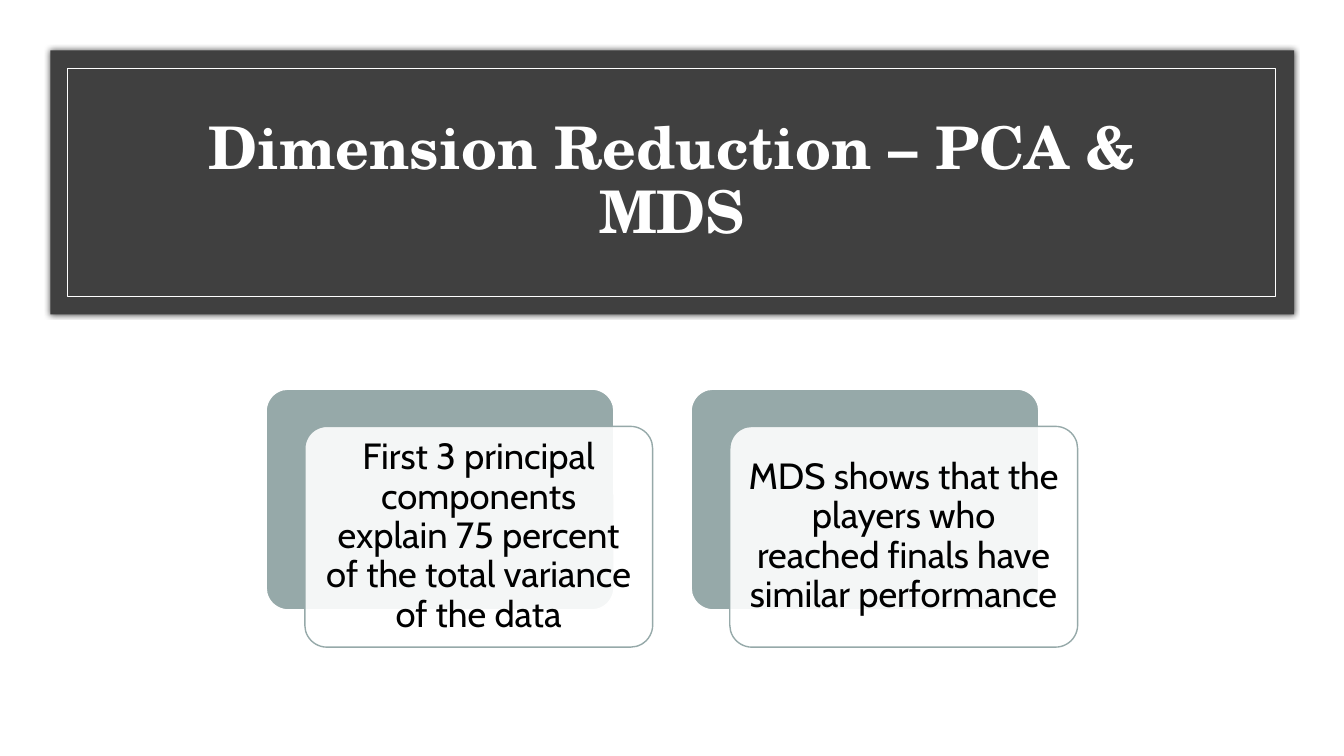
from lxml.etree import SubElement
from pptx import Presentation
from pptx.dml.color import RGBColor
from pptx.enum.shapes import MSO_SHAPE
from pptx.enum.text import MSO_ANCHOR, MSO_AUTO_SIZE, PP_ALIGN
from pptx.oxml.ns import qn
from pptx.util import Inches, Pt

WHITE = RGBColor(0xFF, 0xFF, 0xFF)
BLACK = RGBColor(0x00, 0x00, 0x00)
CHARCOAL = RGBColor(0x40, 0x40, 0x40)
SAGE = RGBColor(0x96, 0xA9, 0xA9)

TITLE = "Dimension Reduction – PCA & MDS"
FINDINGS = [
    "First 3 principal components explain 75 percent of the total variance of the data",
    "MDS shows that the players who reached finals have similar performance",
]

# Percent of the slide's width or height
CARD_LEFT, CARD_TOP, CARD_WIDTH, CARD_HEIGHT = 19.8, 51.47, 25.88, 29.2
CARD_PITCH = 31.62
FRONT_SHIFT_X, FRONT_SHIFT_Y = 2.88, 4.93


class FindingsSlide:
    heading_font = "TeX Gyre Schola"
    body_font = "Cabin"

    def __init__(self, deck):
        self.deck = deck
        self.slide = deck.slides.add_slide(deck.slide_layouts[5])

    def box(self, left, top, width, height):
        """Turn percentages of the slide into left, top, width and height."""
        across, down = self.deck.slide_width / 100, self.deck.slide_height / 100
        return (round(left * across), round(top * down),
                round(width * across), round(height * down))

    def panel(self, kind, place, fill=None, line=None, line_width=1):
        panel = self.slide.shapes.add_shape(kind, *self.box(*place))
        panel.shadow.inherit = False
        if fill is None:
            panel.fill.background()
        else:
            panel.fill.solid()
            panel.fill.fore_color.rgb = fill
        if line is None:
            panel.line.fill.background()
        else:
            panel.line.color.rgb = line
            panel.line.width = Pt(line_width)
        return panel

    def soft_shadow(self, panel):
        effects = panel.element.spPr.find(qn("a:effectLst"))
        shadow = SubElement(effects, qn("a:outerShdw"), blurRad=str(Pt(4)), dist="0")
        black = SubElement(shadow, qn("a:srgbClr"), val=str(BLACK))
        SubElement(black, qn("a:alpha"), val="66000")

    def set_text(self, shape, text, font, size, color, bold=False):
        frame = shape.text_frame
        frame.text = text
        frame.word_wrap = True
        frame.auto_size = MSO_AUTO_SIZE.NONE
        frame.vertical_anchor = MSO_ANCHOR.MIDDLE
        paragraph = frame.paragraphs[0]
        paragraph.alignment = PP_ALIGN.CENTER
        paragraph.line_spacing = 0.9
        style = paragraph.runs[0].font
        style.name, style.size, style.bold = font, Pt(size), bold
        style.color.rgb = color

    def banner(self, text):
        backdrop = self.panel(MSO_SHAPE.RECTANGLE, (3.75, 6.67, 92.55, 34.93), CHARCOAL)
        self.soft_shadow(backdrop)
        self.panel(MSO_SHAPE.RECTANGLE, (5.05, 9.07, 89.85, 30.13),
                   line=WHITE, line_width=0.5)
        title = self.slide.shapes.title
        title.left, title.top, title.width, title.height = self.box(8.75, 14.13, 82.5, 20)
        self.set_text(title, text, self.heading_font, 42, WHITE, bold=True)
        # Bring the title in front of the banner
        title.element.getparent().append(title.element)

    def card(self, left, text):
        """Draw a sage card with a translucent white text card shifted over it."""
        back = self.panel(MSO_SHAPE.ROUNDED_RECTANGLE,
                          (left, CARD_TOP, CARD_WIDTH, CARD_HEIGHT), SAGE, WHITE)
        front = self.panel(MSO_SHAPE.ROUNDED_RECTANGLE,
                           (left + FRONT_SHIFT_X, CARD_TOP + FRONT_SHIFT_Y,
                            CARD_WIDTH, CARD_HEIGHT), WHITE, SAGE)
        for layer in (back, front):
            layer.adjustments[0] = 0.1
        white = front.element.spPr.find(qn("a:solidFill")).find(qn("a:srgbClr"))
        SubElement(white, qn("a:alpha"), val="90000")
        self.set_text(front, text, self.body_font, 26, BLACK)
        frame = front.text_frame
        frame.margin_left = frame.margin_right = Inches(0.11)
        frame.margin_top = frame.margin_bottom = Inches(0.11)


def main():
    deck = Presentation()
    deck.slide_width, deck.slide_height = Inches(13.33), Inches(7.5)
    page = FindingsSlide(deck)
    page.banner(TITLE)
    for column, finding in enumerate(FINDINGS):
        page.card(CARD_LEFT + column * CARD_PITCH, finding)
    deck.save("out.pptx")


if __name__ == "__main__":
    main()
